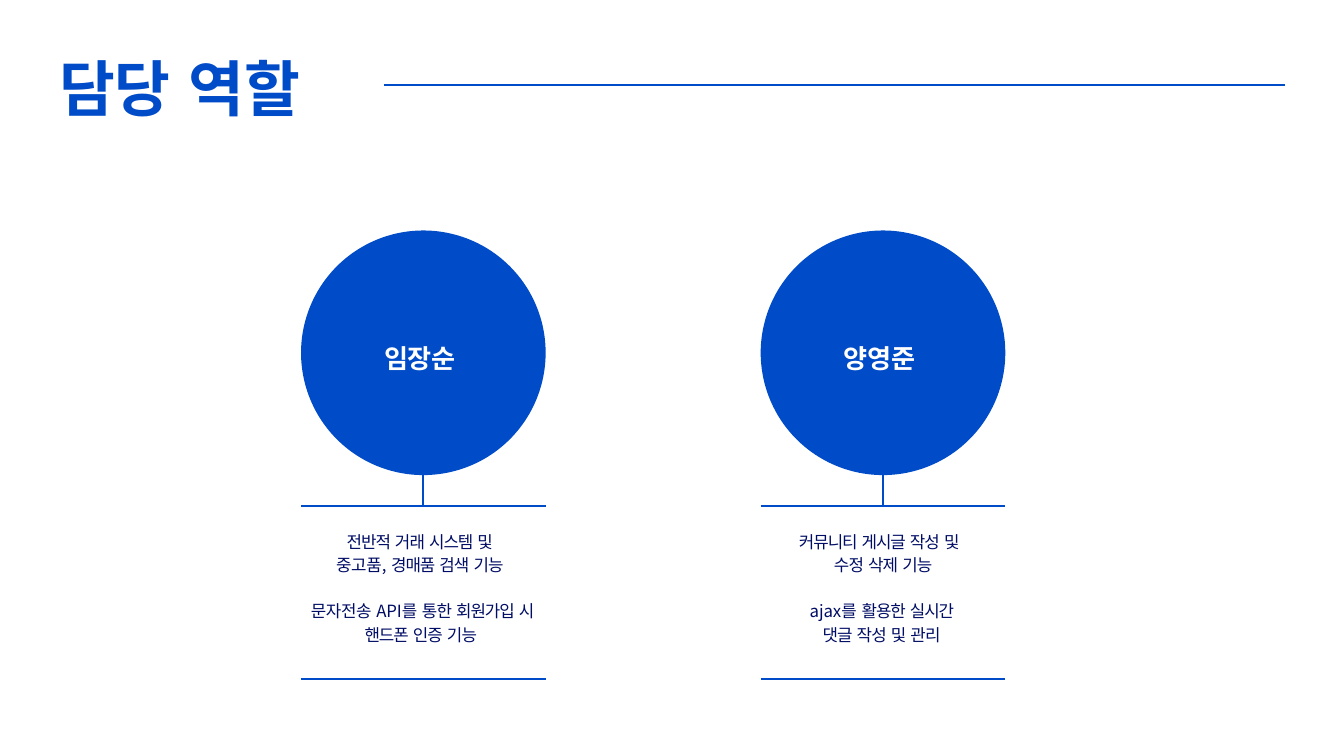
"""Build the slide showing each team member's responsibilities."""
from lxml.etree import SubElement
from pptx import Presentation
from pptx.dml.color import RGBColor
from pptx.enum.shapes import MSO_CONNECTOR as Connector, MSO_SHAPE as Shape
from pptx.enum.text import MSO_AUTO_SIZE as AutoSize
from pptx.oxml.ns import qn
from pptx.util import Inches, Pt

BLUE = RGBColor(0x00, 0x4B, 0xC7)
NAVY = RGBColor(0x00, 0x0D, 0x64)
WHITE = RGBColor(0xFF, 0xFF, 0xFF)
FONT = "Noto Sans CJK KR"

TITLE = [("담당 역할", -0.1)]
MEMBERS = [
    {
        "name": [("임장", -0.9), ("순", -0.1)],
        "duties": [
            {"width": 2.62, "margin": 0.01, "indent": 0.16, "right": 0.06, "runs": [
                ("전반적 ", -1.1), ("거래 ", -0.9), ("시스템 ", -1.1), ("및 ", -0.8),
                ("중고품, ", -0.3), ("경매품 ", -1.1), ("검색 기능", -0.9)]},
            {"width": 3.37, "margin": 0.81, "indent": -0.8, "right": 0, "runs": [
                ("문자전송 ", -0.3), ("API를 ", -0.2), ("통한 ", -0.9), ("회원가입 ", -1.1),
                ("시 ", -0.8), ("핸드폰 ", -1.1), ("인증 기능", -0.9)]},
        ],
    },
    {
        "name": [("양영", -0.9), ("준", -0.1)],
        "duties": [
            {"width": 2.54, "margin": 0.54, "indent": -0.52, "right": 0, "runs": [
                ("커뮤니티 게시글 ", -1.1), ("작성 ", -0.9), ("및 ", -0.8),
                ("수정 삭제 기능", -0.9)]},
            {"width": 2.22, "margin": 0.21, "indent": -0.19, "right": 0, "runs": [
                ("ajax를 ", -0.1), ("활용한 실시간 ", -1.1), ("댓글 작성 ", -0.9),
                ("및 ", -0.8), ("관리", -0.9)]},
        ],
    },
]

TITLE_FORMAT = {"size": Pt(65), "bold": True, "name": FONT}
NAME_FORMAT = {"size": Pt(28), "bold": True, "name": FONT}
DUTY_FORMAT = {"size": Pt(18), "bold": False, "name": FONT}
FRAME_FORMAT = {"margin_left": 0, "margin_right": 0, "margin_top": Inches(0.01),
                "margin_bottom": 0, "word_wrap": True,
                "auto_size": AutoSize.SHAPE_TO_FIT_TEXT}

FIRST_CENTER, MEMBER_PITCH = 6.3, 6.84
CIRCLE_TOP, DIAMETER = 3.43, 3.64
RULE_TOP, RULE_BOTTOM = 7.53, 10.11
DUTY_TOP, DUTY_PITCH = 7.86, 1.03
EXTRA_WORD_SPACE = 0.07


def apply(target, values):
    for attribute, value in values.items():
        setattr(target, attribute, value)


def add_line(slide, x1, y1, x2, y2):
    line = slide.shapes.add_connector(
        Connector.STRAIGHT, Inches(x1), Inches(y1), Inches(x2), Inches(y2))
    line.line.color.rgb = BLUE
    line.line.width = Pt(2.25)
    SubElement(line._element.spPr, qn("a:effectLst"))


def add_run(paragraph, text, tracking, font_format, color):
    run = paragraph.add_run()
    run.text = text
    apply(run.font, font_format)
    run.font.color.rgb = color
    properties = run._r.get_or_add_rPr()
    properties.set("spc", str(round(tracking * 100)))
    SubElement(properties, qn("a:ea"), typeface=FONT)


def add_text(slide, box, runs, font_format, color,
             margin=0.01, indent=0, right=0, spacing=1.0):
    frame = slide.shapes.add_textbox(*map(Inches, box)).text_frame
    apply(frame, FRAME_FORMAT)
    frame.margin_right = Inches(right)
    paragraph = frame.paragraphs[0]
    paragraph.line_spacing = spacing
    properties = paragraph._p.get_or_add_pPr()
    properties.set("marL", str(Inches(margin)))
    properties.set("indent", str(Inches(indent)))
    word_space = font_format["size"].pt * EXTRA_WORD_SPACE
    for text, tracking in runs:
        for index, word in enumerate(text.split(" ")):
            if index:
                add_run(paragraph, " ", tracking + word_space, font_format, color)
            if word:
                add_run(paragraph, word, tracking, font_format, color)


def add_member(slide, center, member):
    left, right = center - DIAMETER / 2, center + DIAMETER / 2
    circle = slide.shapes.add_shape(
        Shape.OVAL, *map(Inches, (left, CIRCLE_TOP, DIAMETER, DIAMETER)))
    circle.shadow.inherit = False
    circle.fill.solid()
    circle.fill.fore_color.rgb = BLUE
    circle.line.fill.background()

    add_line(slide, center, CIRCLE_TOP + DIAMETER, center, RULE_TOP)
    for y in (RULE_TOP, RULE_BOTTOM):
        add_line(slide, left, y, right, y)

    add_text(slide, (center - 0.59, 5.09, 1.17, 0.49), member["name"], NAME_FORMAT, WHITE)
    for row, duty in enumerate(member["duties"]):
        width = duty["width"]
        box = (center - width / 2, DUTY_TOP + row * DUTY_PITCH, width, 0.72)
        add_text(slide, box, duty["runs"], DUTY_FORMAT, NAVY,
                 duty["margin"], duty["indent"], duty["right"], 1.15)


def main():
    presentation = Presentation()
    apply(presentation, {"slide_width": Inches(20), "slide_height": Inches(11.25)})
    slide = presentation.slides.add_slide(presentation.slide_layouts[6])
    add_text(slide, (0.87, 0.74, 3.79, 1.11), TITLE, TITLE_FORMAT, BLUE)
    add_line(slide, 5.71, 1.27, 19.12, 1.27)
    for index, member in enumerate(MEMBERS):
        add_member(slide, FIRST_CENTER + index * MEMBER_PITCH, member)
    presentation.save("out.pptx")


if __name__ == "__main__":
    main()
